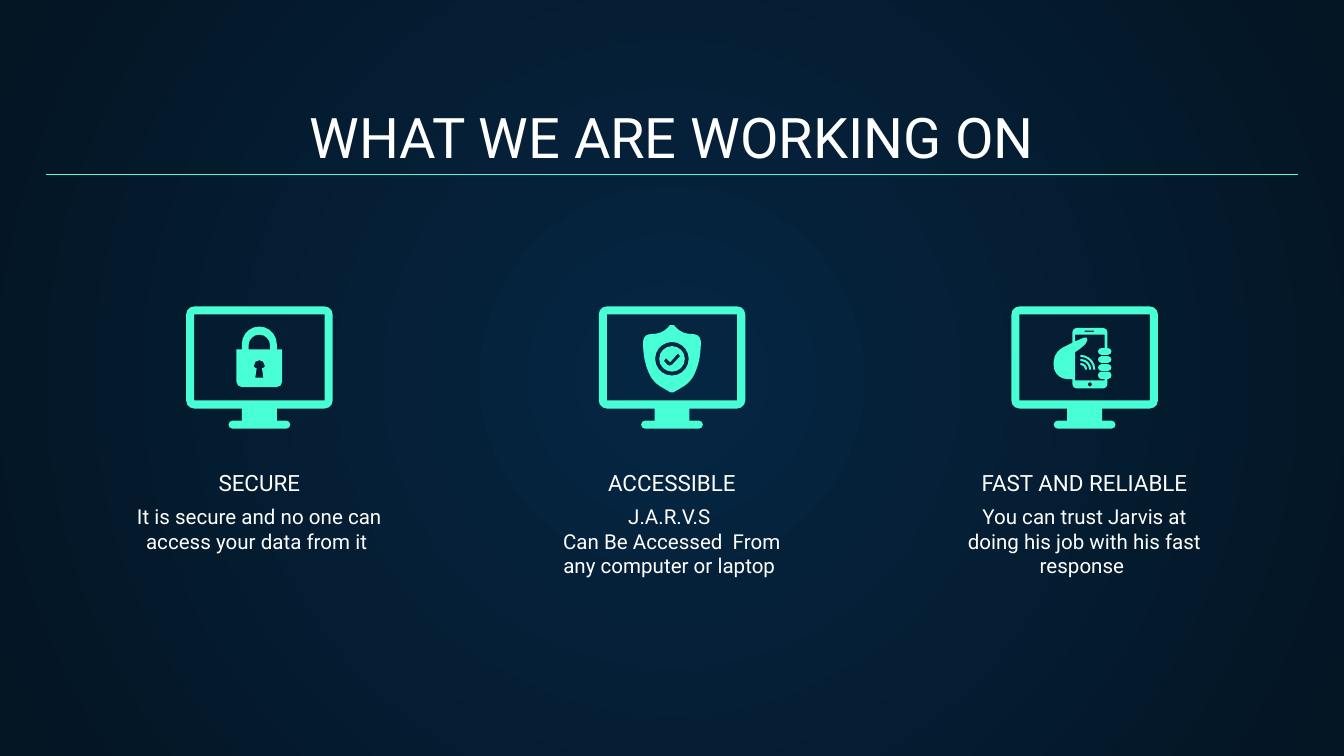
from math import hypot

from lxml.etree import SubElement
from pptx import Presentation
from pptx.dml.color import RGBColor
from pptx.enum.shapes import MSO_CONNECTOR as Connector
from pptx.enum.text import MSO_ANCHOR as Anchor, MSO_AUTO_SIZE as AutoSize, PP_ALIGN as Align
from pptx.oxml.ns import qn
from pptx.util import Inches, Pt

WIDTH, HEIGHT = Inches(10), Inches(10 * 9 / 16)
GRID_COLUMNS = 1000  # square cells, so rows are as tall as columns are wide
MIDDLE, STEP = 500, 307  # centre of the middle topic, distance between topics
ICON_TOP = 228
MINT, WHITE = "48FFD5", "FFFFFF"


def color(hex_value):
    return RGBColor.from_string(hex_value)


def mirror(half):
    """Complete a symmetric outline from the corners of its right half."""
    return half + [(-x, y, r) for x, y, r in reversed(half)]


def disc(cy, r):
    return mirror([(r, cy - r, r), (r, cy + r, r)])


def box(left, top, right, bottom, r):
    return [(left, top, r), (right, top, r), (right, bottom, r), (left, bottom, r)]


def wave(cx, cy, outer, inner):
    """Quarter ring to the upper right of its centre."""
    return [(cx, cy - outer, 0), (cx + outer, cy - outer, outer), (cx + outer, cy, 0),
            (cx + inner, cy, 0), (cx + inner, cy - inner, inner), (cx, cy - inner, 0)]


def round_corners(corners):
    """Turn (x, y, radius) corners into points; larger arcs get more of them."""
    points = []
    for i, (x, y, r) in enumerate(corners):
        if not r:
            points.append((x, y))
            continue
        ends = []
        for nx, ny, _ in (corners[i - 1], corners[(i + 1) % len(corners)]):
            share = r / hypot(nx - x, ny - y)
            ends.append((x + (nx - x) * share, y + (ny - y) * share))
        (ax, ay), (bx, by) = ends
        steps = min(5, 1 + int(r / 2.5))
        for n in range(steps + 1):
            t = n / steps
            start = (1 - t) ** 3 + 1.35 * (1 - t) ** 2 * t
            end = t ** 3 + 1.35 * (1 - t) * t ** 2
            rest = 1 - start - end
            points.append((start * ax + rest * x + end * bx,
                           start * ay + rest * y + end * by))
    return points


class Deck:
    """Style and current slide; lengths are grid cells."""
    font = "Roboto"

    def __init__(self):
        self.show = Presentation()
        self.show.slide_width, self.show.slide_height = WIDTH, HEIGHT
        self.slide = self.show.slides.add_slide(self.show.slide_layouts[6])
        self.shapes = self.slide.shapes

    def cells(self, *counts):
        return [round(count * WIDTH / GRID_COLUMNS) for count in counts]

    def radial_background(self, center, edge):
        fill = self.slide.background.fill
        fill.gradient()
        for stop, shade in zip(fill.gradient_stops, (center, edge)):
            stop.color.rgb = color(shade)
        gradient = self.slide._element.find(".//" + qn("a:gradFill"))
        gradient.remove(gradient.find(qn("a:lin")))
        radial = SubElement(gradient, qn("a:path"), path="circle")
        SubElement(radial, qn("a:fillToRect"), **dict.fromkeys("ltrb", "50000"))

    def text(self, text, cx, top, width, height, size=11, anchor=Anchor.TOP):
        area = self.shapes.add_textbox(*self.cells(cx - width / 2, top, width, height))
        frame = area.text_frame
        frame.word_wrap, frame.auto_size = True, AutoSize.NONE
        frame.vertical_anchor = anchor
        frame.margin_left = frame.margin_right = Inches(0.1)
        frame.margin_top = frame.margin_bottom = Inches(0.1)
        frame.text = text
        for paragraph in frame.paragraphs:
            paragraph.alignment = Align.CENTER
            for run in paragraph.runs:
                run.font.name, run.font.size = self.font, Pt(size)
                run.font.color.rgb = color(WHITE)

    def line(self, x1, y1, x2, y2):
        rule = self.shapes.add_connector(Connector.STRAIGHT, *self.cells(x1, y1, x2, y2))
        rule.line.color.rgb, rule.line.width = color(MINT), Pt(0.75)
        SubElement(rule._element.spPr, qn("a:effectLst"))

    def outline(self, contours, cx, top):
        """Draw one filled shape; contours inside the first one are holes."""
        builder = None
        for contour in contours:
            first, *others = [self.cells(cx + x, top + y) for x, y in round_corners(contour)]
            if builder is None:
                builder = self.shapes.build_freeform(*first, scale=1.0)
            else:
                builder.move_to(*first)
            builder.add_line_segments(others, close=True)
        shape = builder.convert_to_shape()
        shape.shadow.inherit = False
        shape.fill.solid()
        shape.fill.fore_color.rgb = color(MINT)
        shape.line.fill.background()


# Outlines are measured from the topic's centre and the top of the monitor.
MONITOR = [
    mirror([(54.5, 0, 6), (54.5, 76, 6), (13, 76, 0), (13, 85, 0), (23, 85, 3), (23, 91, 3)]),
    mirror([(48.5, 6, 0), (48.5, 70, 0)]),
]
PADLOCK = [
    mirror([(13, 15, 13), (13, 32, 0), (17, 32, 0), (17, 60, 4)]),
    mirror([(8, 21, 8), (8, 32, 0)]),
    mirror([(4, 40, 4), (4, 47, 2), (2, 46, 0), (3, 53, 0)]),
]
CHECKED_DISC = [
    disc(39, 9.5),
    [(4.5, 35, 0), (6, 37, 0), (-0.5, 44, 1), (-3, 44, 1), (-6, 40.5, 0),
     (-4.5, 38.5, 0), (-1.5, 41.5, 0)],
]
SHIELD = [
    mirror([(1.5, 14, 0), (7, 20, 5), (21.5, 21, 5), (21.5, 33, 5), (19, 47, 7),
            (13, 57, 5), (1, 64, 0)]),
    disc(39, 12.5),
]
PHONE_IN_HAND = [
    [(-9, 16, 3), (17, 16, 3), (17, 31, 0),  # top of the phone
     (20, 31, 2.5), (20, 36, 2.5), (10, 36, 2.5), (10, 31, 2.5),  # first finger
     (15, 31, 0), (15, 21, 0), (-7, 21, 0), (-7, 26, 0),  # top of the screen
     (2.5, 22, 3), (2, 27, 2), (-4, 32, 0), (-7, 34, 0),  # thumb
     (-7, 55, 0), (15, 55, 0), (15, 54, 0),  # bottom of the screen
     (10, 54, 2.5), (10, 48.5, 2.5), (20, 48.5, 2.5), (20, 54, 2.5),  # last finger
     (17, 54, 0), (17, 61, 3), (-9, 61, 3),  # bottom of the phone
     (-9, 54, 0), (-23, 54, 10), (-23, 34, 7), (-9, 27, 0)],  # palm
    box(10, 37, 20, 42, 2.5),
    box(10, 43, 20, 48, 2.5),
    box(0, 18, 7, 19, 0),
    box(2.5, 56.5, 5.5, 59.5, 1),
    *(wave(-3, 47, outer, outer - 1.5) for outer in (11, 8, 5)),
]

TOPICS = [
    ("SECURE", "It is secure and no one can access your data from it ", [PADLOCK]),
    ("ACCESSIBLE", "J.A.R.V.S \nCan Be Accessed  From any computer or laptop ",
     [CHECKED_DISC, SHIELD]),
    ("FAST AND RELIABLE", "You can trust Jarvis at doing his job with his fast response ",
     [PHONE_IN_HAND]),
]


def main():
    deck = Deck()
    deck.radial_background("052643", "041523")
    deck.text("WHAT WE ARE WORKING ON", MIDDLE, 70, 932, 66, size=30, anchor=Anchor.BOTTOM)
    for number, (heading, details, symbol) in enumerate(TOPICS):
        center = MIDDLE + STEP * (number - 1)
        deck.text(details, center, 365, 207, 55)
        deck.text(heading, center, 358, 227, 21, size=12, anchor=Anchor.BOTTOM)
        for part in [MONITOR, *symbol]:
            deck.outline(part, center, ICON_TOP)
    deck.line(34, 130, 966, 130)
    deck.show.save("out.pptx")


if __name__ == "__main__":
    main()
